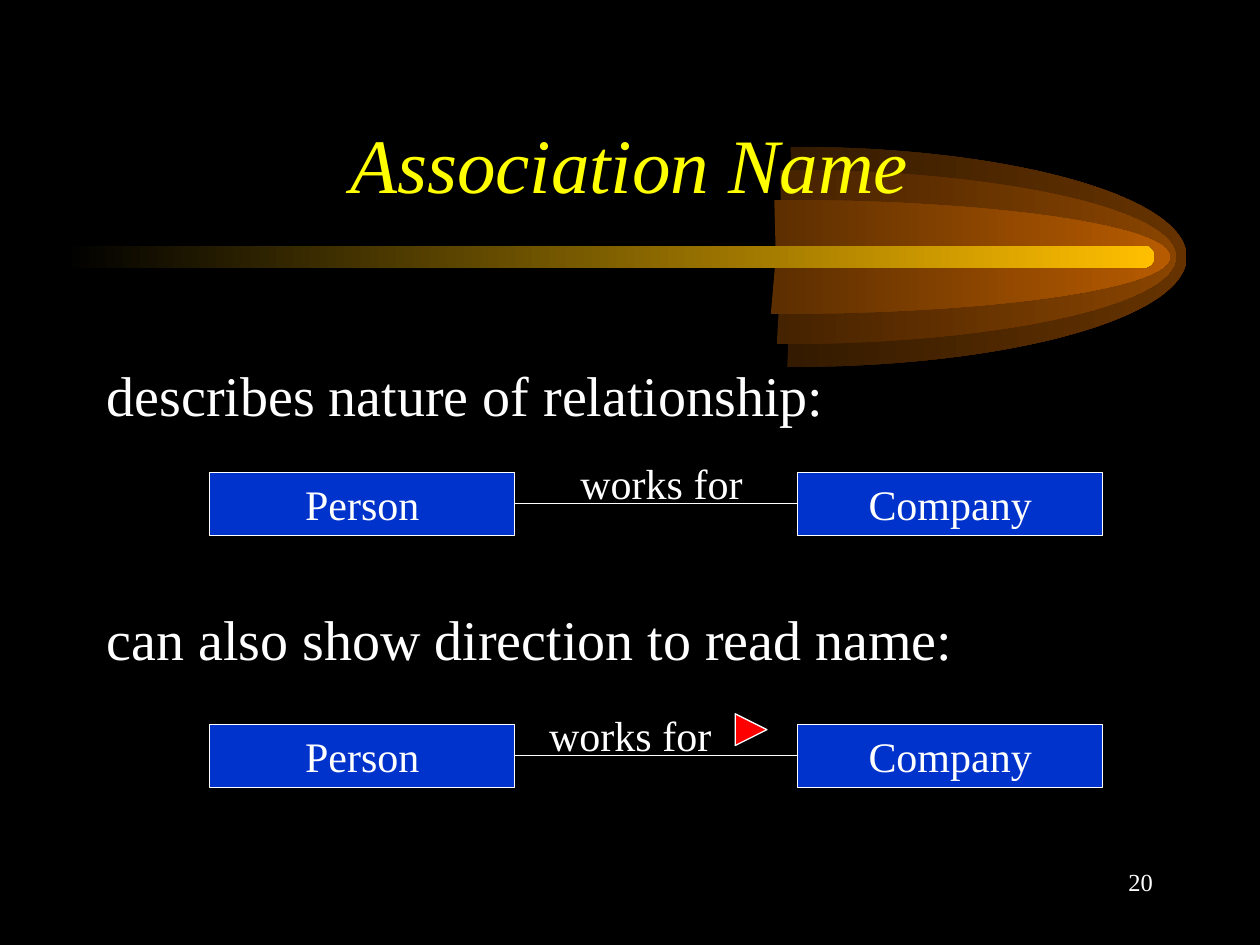
from dataclasses import dataclass

from lxml.etree import SubElement
from pptx import Presentation
from pptx.dml.color import RGBColor as Rgb
from pptx.enum.shapes import MSO_CONNECTOR as Link, MSO_SHAPE as Shape
from pptx.enum.text import MSO_ANCHOR as Anchor, PP_ALIGN as Align
from pptx.oxml.ns import qn
from pptx.util import Cm, Pt


@dataclass(frozen=True)
class Theme:
    font: str = "Times New Roman"
    background: str = "000000"
    text: str = "FFFFFF"
    title: str = "FFFF00"
    box: str = "0033CC"
    arrow: str = "FF0000"
    bar: str = "FFBF00"
    title_size: int = 44
    body_size: int = 32
    label_size: int = 24
    number_size: int = 14
    line_width: float = 0.75


@dataclass(frozen=True)
class Flame:
    center_x: float
    half_height: float
    tail: str
    tip: str


@dataclass(frozen=True)
class Association:
    top: float
    label_left: float
    shows_direction: bool


THEME = Theme()
COMET_Y = 5.18
FLAME_LENGTH = 7.95
ROUNDNESS = 0.55  # control point distance of a quarter ellipse
FLAMES = (
    Flame(15.97, 2.22, "331A00", "663300"),
    Flame(15.76, 1.76, "452200", "894400"),
    Flame(15.64, 1.15, "5C2E00", "B75B00"),
)
ASSOCIATIONS = (
    Association(9.52, 11.43, False),
    Association(14.6, 10.8, True),
)
PERSON_LEFT, COMPANY_LEFT = 4.23, 16.08
BOX_WIDTH, BOX_HEIGHT = 6.15, 1.27
STATEMENTS = ("describes nature of relationship:",
              "can also show direction to read name:")


def write(frame, *lines: str, size: int, color: str = THEME.text,
          align=Align.CENTER, anchor=Anchor.MIDDLE, italic: bool = False,
          wrap: bool = True, gap: float = 0) -> None:
    """Fill a text frame, one paragraph per line, with gap points between."""
    frame.word_wrap = wrap
    frame.vertical_anchor = anchor
    for index, line in enumerate(lines):
        paragraph = frame.add_paragraph() if index else frame.paragraphs[0]
        paragraph.alignment = align
        paragraph.space_before = Pt(gap if index else 0)
        run = paragraph.add_run()
        run.text = line
        run.font.name, run.font.size = THEME.font, Pt(size)
        run.font.italic = italic
        run.font.color.rgb = Rgb.from_string(color)


def add_text_box(slide, left: float, top: float, width: float, height: float):
    return slide.shapes.add_textbox(Cm(left), Cm(top), Cm(width), Cm(height)).text_frame


def shade(shape, start: str, end: str) -> None:
    """Left-to-right gradient without outline."""
    shape.shadow.inherit = False
    shape.line.fill.background()
    shape.fill.gradient()
    shape.fill.gradient_angle = 0
    for stop, color in zip(shape.fill.gradient_stops, (start, end)):
        stop.color.rgb = Rgb.from_string(color)


def outline(line) -> None:
    line.color.rgb = Rgb.from_string(THEME.text)
    line.width = Pt(THEME.line_width)


def add_solid(slide, kind, left: float, top: float, width: float, height: float,
              color: str):
    shape = slide.shapes.add_shape(kind, Cm(left), Cm(top), Cm(width), Cm(height))
    shape.shadow.inherit = False
    shape.fill.solid()
    shape.fill.fore_color.rgb = Rgb.from_string(color)
    outline(shape.line)
    return shape


def curve_segments(shape, count: int) -> None:
    """Merge each three of the first lines into one Bezier curve."""
    lines = list(shape.element.iter(qn("a:lnTo")))[:count * 3]
    for first in range(0, len(lines), 3):
        curve, *rest = lines[first:first + 3]
        for line in rest:
            curve.append(line[0])
            line.getparent().remove(line)
        curve.tag = qn("a:cubicBezTo")


def add_flame(slide, flame: Flame) -> None:
    """Half ellipse that opens to the left, from two quarter curves."""
    x, rise = flame.center_x, flame.half_height
    tip = x + FLAME_LENGTH
    bend_x, bend_y = x + FLAME_LENGTH * ROUNDNESS, rise * ROUNDNESS
    points = ((bend_x, -rise), (tip, -bend_y), (tip, 0),
              (tip, bend_y), (bend_x, rise), (x - 0.1, rise), (x, 0))
    builder = slide.shapes.build_freeform(Cm(x - 0.03), Cm(COMET_Y - rise))
    builder.add_line_segments([(Cm(px), Cm(COMET_Y + py)) for px, py in points])
    shape = builder.convert_to_shape()
    curve_segments(shape, 2)
    shade(shape, flame.tail, flame.tip)


def add_comet(slide) -> None:
    for flame in FLAMES:
        add_flame(slide, flame)
    bar = slide.shapes.add_shape(Shape.ROUNDED_RECTANGLE, Cm(1.27), Cm(4.95),
                                 Cm(22), Cm(0.45))
    bar.adjustments[0] = 0.5
    shade(bar, THEME.background, THEME.bar)


def add_class_box(slide, name: str, left: float, top: float):
    box = add_solid(slide, Shape.RECTANGLE, left, top, BOX_WIDTH, BOX_HEIGHT, THEME.box)
    write(box.text_frame, name, size=THEME.label_size, wrap=False)
    return box


def add_association(slide, association: Association) -> None:
    top = association.top
    company = add_class_box(slide, "Company", COMPANY_LEFT, top)
    person = add_class_box(slide, "Person", PERSON_LEFT, top)
    link = slide.shapes.add_connector(Link.STRAIGHT, 0, 0, 0, 0)
    link.begin_connect(person, 3)
    link.end_connect(company, 1)
    outline(link.line)
    SubElement(link.element.spPr, qn("a:effectLst"))
    label = add_text_box(slide, association.label_left, top - 0.42, 3.81, BOX_HEIGHT)
    write(label, "works for", size=THEME.label_size)
    if association.shows_direction:
        arrow = add_solid(slide, Shape.ISOSCELES_TRIANGLE, 14.82, top - 0.21,
                          0.64, 0.64, THEME.arrow)
        arrow.rotation = 90


def main() -> None:
    deck = Presentation()
    deck.slide_width, deck.slide_height = Cm(25.4), Cm(19.05)
    slide = deck.slides.add_slide(deck.slide_layouts[5])
    slide.background.fill.solid()
    slide.background.fill.fore_color.rgb = Rgb.from_string(THEME.background)

    # Comet behind the title
    add_comet(slide)
    title = slide.shapes.title
    title.left, title.top = Cm(1.9), Cm(1.69)
    title.width, title.height = Cm(21.59), Cm(3.18)
    write(title.text_frame, "Association Name", size=THEME.title_size,
          color=THEME.title, italic=True)
    title.element.getparent().append(title.element)

    # Statements, each above its diagram
    body = add_text_box(slide, 1.9, 5.51, 21.59, 11.43)
    body.margin_top = Cm(1.75)
    write(body, *STATEMENTS, size=THEME.body_size, align=Align.LEFT,
          anchor=Anchor.TOP, gap=101.5)

    # Class diagrams
    for association in ASSOCIATIONS:
        add_association(slide, association)

    # Slide number
    write(add_text_box(slide, 18.2, 17.36, 5.29, 1.27), "20",
          size=THEME.number_size, align=Align.RIGHT, anchor=Anchor.TOP)
    deck.save("out.pptx")


if __name__ == "__main__":
    main()
